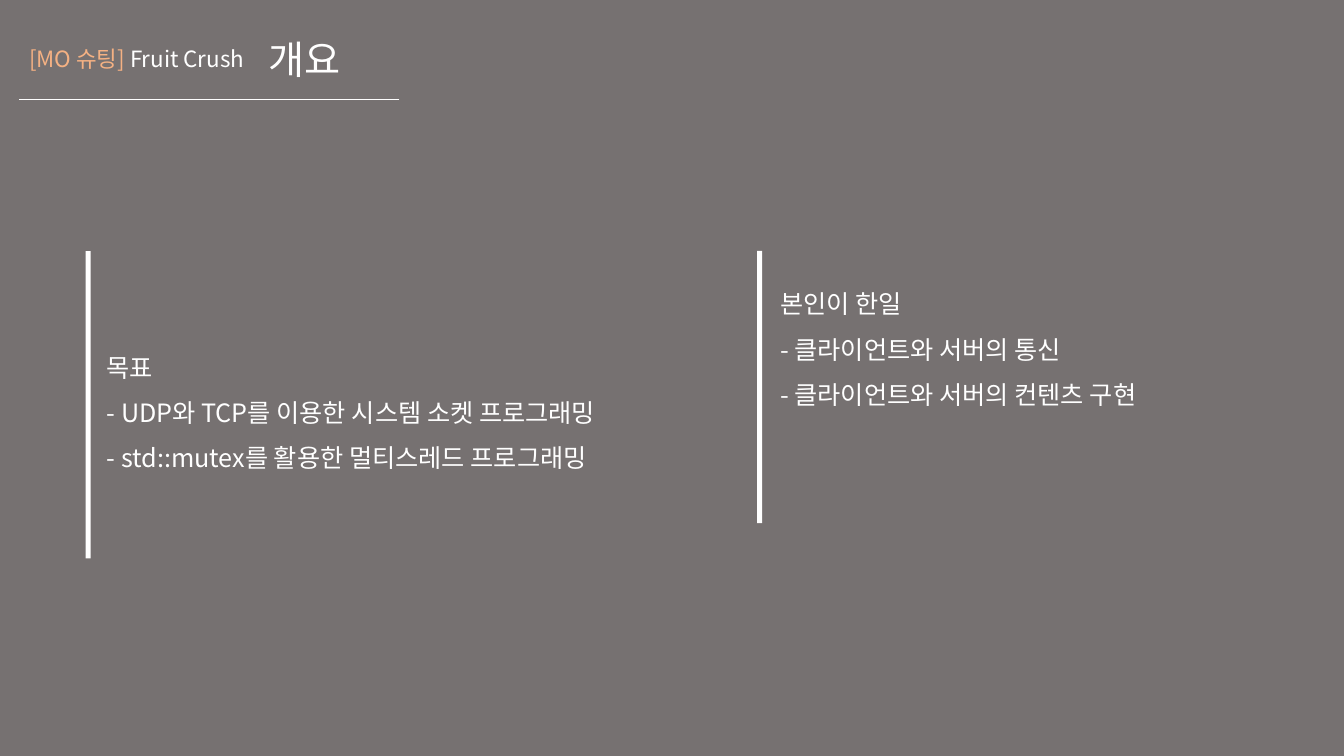
from dataclasses import dataclass

from lxml import etree
from pptx import Presentation
from pptx.dml.color import RGBColor
from pptx.enum.shapes import MSO_CONNECTOR, MSO_SHAPE
from pptx.enum.text import MSO_ANCHOR, MSO_AUTO_SIZE, PP_ALIGN
from pptx.oxml.ns import qn
from pptx.slide import Slide
from pptx.text.text import TextFrame, _Paragraph
from pptx.util import Emu, Pt

RECT = MSO_SHAPE.RECTANGLE
LINE = MSO_CONNECTOR.STRAIGHT
MIDDLE = MSO_ANCHOR.MIDDLE
FIXED = MSO_AUTO_SIZE.NONE
GROW = MSO_AUTO_SIZE.SHAPE_TO_FIT_TEXT
LEFT = PP_ALIGN.LEFT
SCALE = 9144


@dataclass(frozen=True)
class Theme:
    font: str = "Noto Sans CJK KR"
    back: RGBColor = RGBColor(0x76, 0x71, 0x71)
    white: RGBColor = RGBColor(0xFF, 0xFF, 0xFF)
    peach: RGBColor = RGBColor(0xF4, 0xB1, 0x83)
    title: int = 28
    body: int = 18
    label: int = 16


@dataclass(frozen=True)
class Panel:
    bar: int
    left: int
    top: int
    width: int
    height: int
    foot: int
    lines: tuple[str, ...]


THEME = Theme()
PANELS = (
    Panel(85, 96, 249, 646, 305, 5, (
        "목표",
        "- UDP와 TCP를 이용한 시스템 소켓 프로그래밍",
        "- std::mutex를 활용한 멀티스레드 프로그래밍",
    )),
    Panel(751, 764, 249, 496, 270, 95, (
        "본인이 한일",
        "- 클라이언트와 서버의 통신",
        "- 클라이언트와 서버의 컨텐츠 구현",
    )),
)


def px(count: int) -> Emu:
    return Emu(count * SCALE)


def box(*sides: int) -> tuple[Emu, ...]:
    return tuple(px(side) for side in sides)


def style(para: _Paragraph, size: int, space: float) -> None:
    para.alignment = LEFT
    para.line_spacing = space
    font = para.font
    font.size = Pt(size)
    font.color.rgb = THEME.white
    font.name = THEME.font
    props = para._p.pPr.find(qn("a:defRPr"))
    etree.SubElement(props, qn("a:ea"), typeface=THEME.font)


def fill(frame: TextFrame, lines: tuple[str, ...], size: int, space: float) -> None:
    frame.word_wrap = True
    frame.text = "\n".join(lines)
    for para in frame.paragraphs:
        style(para, size, space)


def draw_head(slide: Slide) -> None:
    label = slide.shapes.add_textbox(*box(19, 40, 298, 37)).text_frame
    label.word_wrap = True
    label.auto_size = GROW
    para = label.paragraphs[0]
    style(para, THEME.label, 1.0)
    for text, color in (("[MO 슈팅] ", THEME.peach), ("Fruit Crush", THEME.white)):
        run = para.add_run()
        run.text = text
        run.font.color.rgb = color

    title = slide.shapes.title
    title.left, title.top, title.width, title.height = box(256, 17, 100, 89)
    frame = title.text_frame
    fill(frame, ("개요",), THEME.title, 0.9)
    frame.auto_size = FIXED
    frame.vertical_anchor = MIDDLE

    rule = slide.shapes.add_connector(LINE, *box(396, 99, 19, 99))
    rule.line.color.rgb = THEME.white
    rule.line.width = Pt(0.5)
    etree.SubElement(rule._element.spPr, qn("a:effectLst"))


def draw_panel(slide: Slide, panel: Panel) -> None:
    group = slide.shapes.add_group_shape()
    place = box(panel.left, panel.top, panel.width, panel.height)
    frame = group.shapes.add_textbox(*place).text_frame
    fill(frame, panel.lines, THEME.body, 1.5)
    frame.vertical_anchor = MIDDLE
    frame.margin_bottom = px(panel.foot)

    bar = group.shapes.add_shape(RECT, *box(panel.bar, panel.top, 5, panel.height))
    bar.shadow.inherit = False
    bar.fill.solid()
    bar.fill.fore_color.rgb = THEME.white
    bar.line.fill.background()


def main() -> None:
    deck = Presentation()
    deck.slide_width, deck.slide_height = box(1333, 750)
    slide = deck.slides.add_slide(deck.slide_layouts.get_by_name("Title Only"))
    back = slide.background.fill
    back.solid()
    back.fore_color.rgb = THEME.back
    draw_head(slide)
    for panel in PANELS:
        draw_panel(slide, panel)
    deck.save("out.pptx")


if __name__ == "__main__":
    main()
